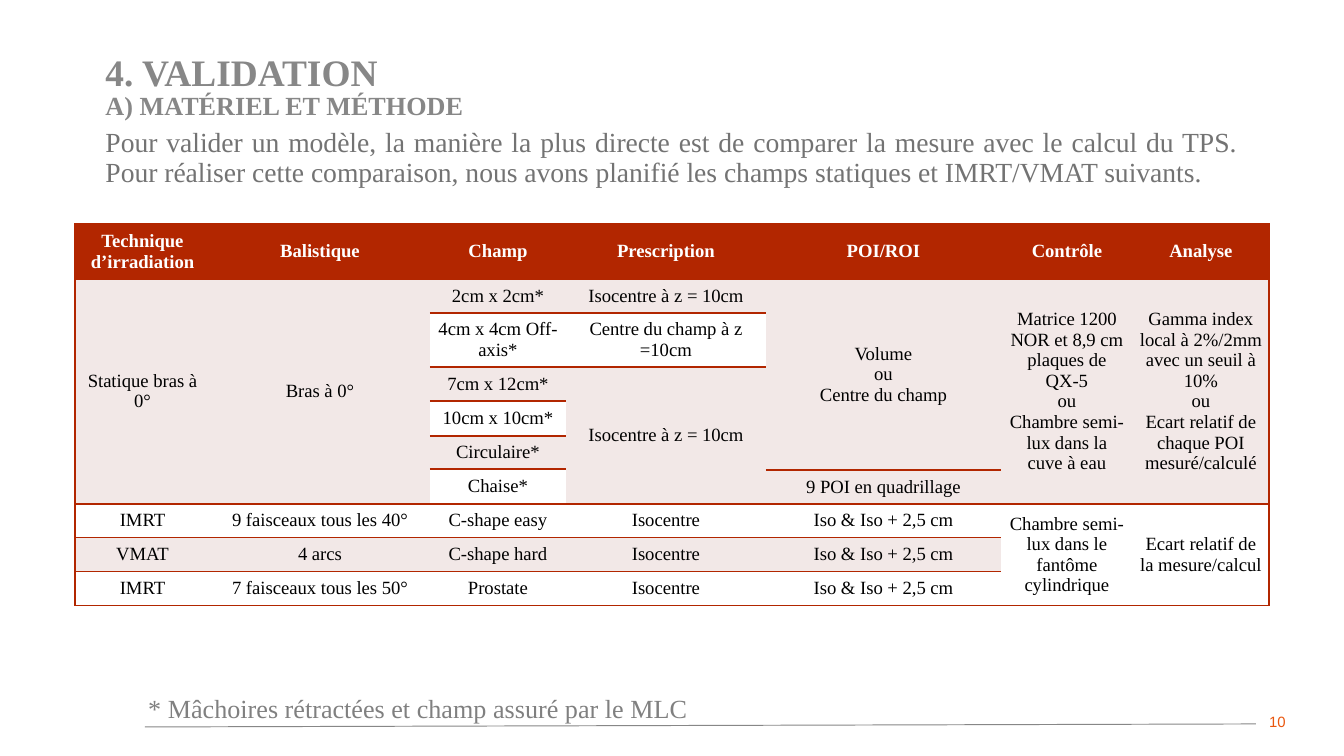
from pptx import Presentation
from pptx.dml.color import RGBColor
from pptx.enum.shapes import MSO_CONNECTOR
from pptx.enum.text import MSO_ANCHOR as Anchor, MSO_AUTO_SIZE as AutoSize, PP_ALIGN as Align
from pptx.oxml.ns import qn
from pptx.util import Emu, Pt
from lxml.etree import SubElement

SERIF = "Times New Roman"
RED, PINK, WHITE, BLACK, GREY = "B22600", "F2E8E7", "FFFFFF", "000000", "878787"
NO_STYLE = "{2D5ABB26-0587-4C30-8999-92F81FD0307C}"

TITLE = [("4. VALIDATION", 20), ("A) MATÉRIEL ET MÉTHODE", 14)]
INTRO = ("Pour valider un modèle, la manière la plus directe est de comparer la mesure "
         "avec le calcul du TPS. Pour réaliser cette comparaison, nous avons planifié "
         "les champs statiques et IMRT/VMAT suivants.")
FOOTNOTE = "* Mâchoires rétractées et champ assuré par le MLC"
PAGE = "10"

HEADINGS = ["Technique d’irradiation", "Balistique", "Champ", "Prescription",
            "POI/ROI", "Contrôle", "Analyse"]
STATIC = [
    (1, 0, 7, "Statique bras à 0°", PINK),
    (1, 1, 7, "Bras à 0°", PINK),
    (1, 2, 1, "2cm x 2cm*", PINK),
    (2, 2, 1, "4cm x 4cm Off-axis*", WHITE),
    (3, 2, 1, "7cm x 12cm*", PINK),
    (4, 2, 1, "10cm x 10cm*", WHITE),
    (5, 2, 1, "Circulaire*", PINK),
    (6, 2, 2, "Chaise*", WHITE),
    (1, 3, 1, "Isocentre à z = 10cm", PINK),
    (2, 3, 1, "Centre du champ à z =10cm", WHITE),
    (3, 3, 5, "Isocentre à z = 10cm", PINK),
    (1, 4, 6, "Volume\nou\nCentre du champ", PINK),
    (7, 4, 1, "9 POI en quadrillage", PINK),
    (1, 5, 7, "Matrice 1200 NOR et 8,9 cm plaques de QX-5\nou\n"
              "Chambre semi-lux dans la cuve à eau", PINK),
    (1, 6, 7, "Gamma index local à 2%/2mm avec un seuil à 10%\nou\n"
              "Ecart relatif de chaque POI mesuré/calculé", PINK),
    (8, 5, 3, "Chambre semi-lux dans le fantôme cylindrique", WHITE),
    (8, 6, 3, "Ecart relatif de la mesure/calcul", WHITE),
]
MODULATED = [
    ("IMRT", "9 faisceaux tous les 40°", "C-shape easy"),
    ("VMAT", "4 arcs", "C-shape hard"),
    ("IMRT", "7 faisceaux tous les 50°", "Prostate"),
]
MODULATED_END = ("Isocentre", "Iso & Iso + 2,5 cm")
COLUMNS = [135, 220, 136, 200, 235, 132, 136]
ROWS = [55, 34, 54, 34, 35, 33, 1, 34, 34, 34, 34]
RULES = [
    (0, range(7)), (1, range(7)), (2, (2, 3)), (3, (2, 3)), (4, (2,)), (5, (2,)),
    (7, (4,)), (8, range(7)), (9, range(5)), (10, range(5)),
]


def px(length):
    return Emu(round(length * 914400 / 134.4))


def rgb(colour):
    return RGBColor.from_string(colour)


def place(part, *box):
    part.left, part.top, part.width, part.height = map(px, box)


def add_run(paragraph, text, size, colour, bold=False, face=SERIF):
    run = paragraph.add_run()
    run.text = text
    font = run.font
    font.name, font.size, font.bold = face, Pt(size), bold
    font.color.rgb = rgb(colour)


def add_label(slide, box, text, size, colour, face=SERIF):
    frame = slide.shapes.add_textbox(*map(px, box)).text_frame
    frame.word_wrap = True
    add_run(frame.paragraphs[0], text, size, colour, face=face)


def add_edge(cell, side):
    edge = SubElement(cell._tc.get_or_add_tcPr(), qn(f"a:ln{side}"), w=str(Pt(1)))
    fill = SubElement(edge, qn("a:solidFill"))
    SubElement(fill, qn("a:srgbClr"), val=RED)


def add_plan(slide):
    blocks = [(0, col, 1, text, RED) for col, text in enumerate(HEADINGS)] + STATIC
    for row, fields in enumerate(MODULATED, 8):
        fill = PINK if row == 9 else WHITE
        blocks += [(row, col, 1, text, fill)
                   for col, text in enumerate(fields + MODULATED_END)]
    rules = {(row, col) for row, cols in RULES for col in cols}
    plan = slide.shapes.add_table(len(ROWS), len(COLUMNS), px(75), px(224),
                                  px(sum(COLUMNS)), px(sum(ROWS))).table
    plan._tbl.tblPr.find(qn("a:tableStyleId")).text = NO_STYLE
    plan.first_row = plan.horz_banding = False
    for column, width in zip(plan.columns, COLUMNS):
        column.width = px(width)
    for row, height in zip(plan.rows, ROWS):
        row.height = px(height)
    for row, col, span, text, fill in blocks:
        cell = plan.cell(row, col)
        if span > 1:
            cell.merge(plan.cell(row + span - 1, col))
        cell.margin_left = cell.margin_right = px(7)
        cell.margin_top = cell.margin_bottom = px(6)
        cell.vertical_anchor = Anchor.MIDDLE
        edges = {"L": col == 0, "R": col == len(COLUMNS) - 1,
                 "T": (row, col) in rules, "B": row + span == len(ROWS)}
        for side, drawn in edges.items():
            if drawn:
                add_edge(cell, side)
        cell.fill.solid()
        cell.fill.fore_color.rgb = rgb(fill)
        frame = cell.text_frame
        for index, line in enumerate(text.split("\n")):
            paragraph = frame.add_paragraph() if index else frame.paragraphs[0]
            paragraph.alignment = Align.CENTER
            add_run(paragraph, line, 10, WHITE if row == 0 else BLACK, row == 0)


def main():
    deck = Presentation()
    deck.slide_width, deck.slide_height = px(1344), px(756)
    slide = deck.slides.add_slide(deck.slide_layouts[1])

    title, intro = slide.placeholders
    place(title, 92, 49, 1159, 72)
    title.text_frame.auto_size = AutoSize.NONE
    title.text_frame.vertical_anchor = Anchor.BOTTOM
    title.text_frame.margin_bottom = 0
    heading = title.text_frame.paragraphs[0]
    heading.alignment, heading.line_spacing = Align.LEFT, 0.85
    for index, (text, size) in enumerate(TITLE):
        if index:
            heading.add_line_break()
        add_run(heading, text, size, GREY, True)

    place(intro, 92, 122, 1159, 80)
    intro.text_frame.auto_size = AutoSize.NONE
    sentence = intro.text_frame.paragraphs[0]
    properties = sentence._p.get_or_add_pPr()
    properties.set("marL", "0")
    properties.set("indent", "0")
    SubElement(properties, qn("a:buNone"))
    sentence.alignment, sentence.line_spacing = Align.JUSTIFY, 0.9
    sentence.space_before = Pt(0)
    add_run(sentence, INTRO, 14.8, "737373")

    add_plan(slide)

    rule = slide.shapes.add_connector(MSO_CONNECTOR.STRAIGHT,
                                      px(145), px(727), px(1256), px(724))
    rule.line.color.rgb = rgb(GREY)
    rule.line.width = Pt(0.5)
    SubElement(rule._element.spPr, qn("a:effectLst"))
    add_label(slide, (135, 686, 1036, 46), FOOTNOTE, 14, "808080")
    add_label(slide, (1256, 706, 58, 34), PAGE, 8, "EA560D", "Arial")
    deck.save("out.pptx")


if __name__ == "__main__":
    main()
